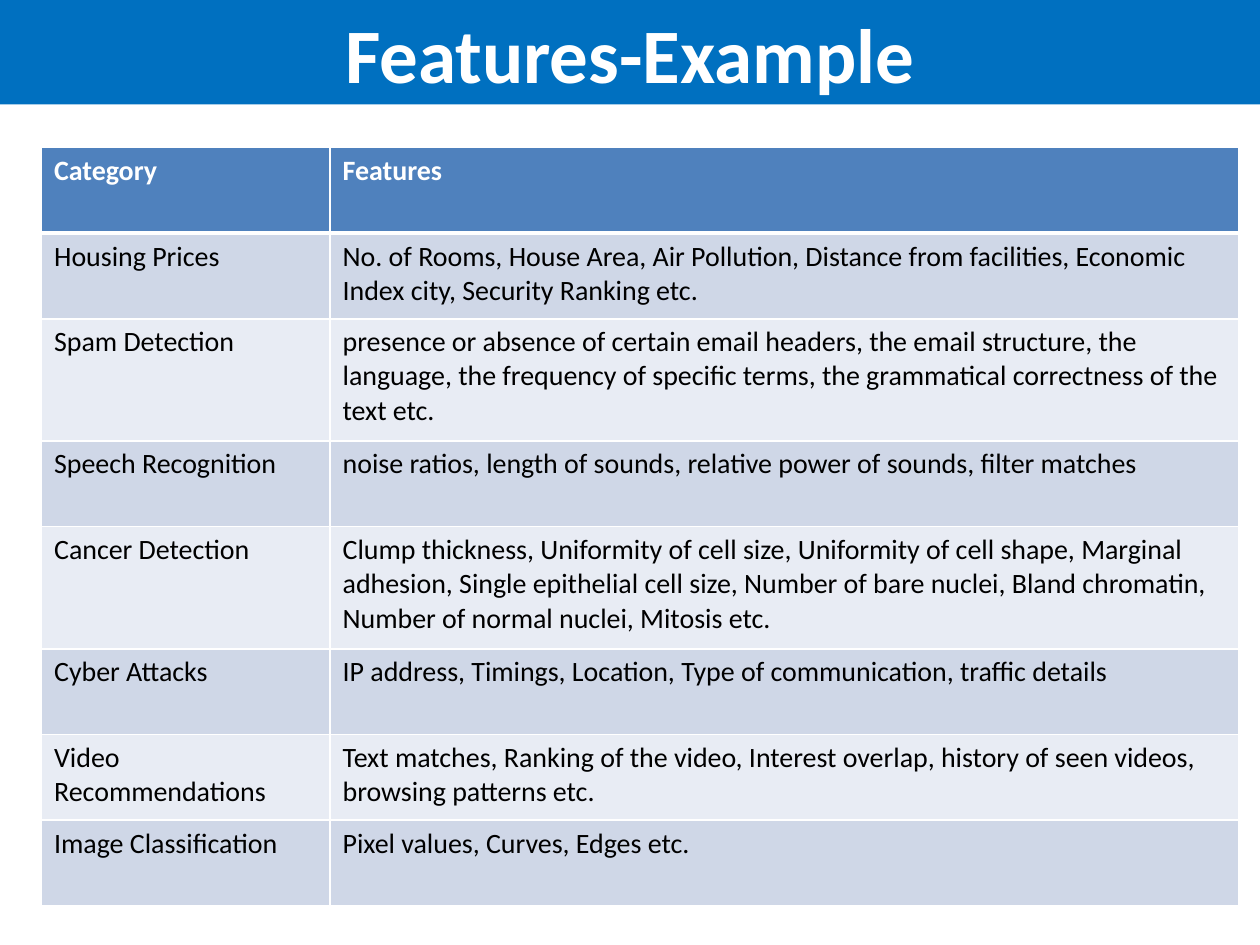
"""Build a slide with a table of example features for machine learning tasks."""
import lxml.etree
import pptx
import pptx.dml.color
import pptx.enum.shapes
import pptx.enum.text
import pptx.oxml.ns
import pptx.util

TITLE = "Features-Example"
ROWS = [
    ("Category", "Features"),
    ("Housing Prices", "No. of Rooms, House Area, Air Pollution, Distance from facilities, "
     "Economic Index city, Security Ranking etc."),
    ("Spam Detection", "presence or absence of certain email headers, the email structure, "
     "the language, the frequency of specific terms, the grammatical correctness of the text etc."),
    ("Speech Recognition", "noise ratios, length of sounds, relative power of sounds, filter matches"),
    ("Cancer Detection", "Clump thickness, Uniformity of cell size, Uniformity of cell shape, "
     "Marginal adhesion, Single epithelial cell size, Number of bare nuclei, Bland chromatin, "
     "Number of normal nuclei, Mitosis etc."),
    ("Cyber Attacks", "IP address, Timings, Location, Type of communication, traffic details"),
    ("Video Recommendations", "Text matches, Ranking of the video, Interest overlap, "
     "history of seen videos, browsing patterns etc."),
    ("Image Classification", "Pixel values, Curves, Edges etc."),
]
TALL_ROWS = {"Spam Detection", "Cancer Detection"}
ROW_HEIGHT, TALL_HEIGHT = 0.68, 0.97
COLUMN_WIDTHS = (2.29, 7.21)
TABLE_LEFT, TABLE_TOP = 0.33, 1.17
SLIDE_WIDTH, SLIDE_HEIGHT, TITLE_HEIGHT = 10, 7.5, 0.83
WHITE, BLACK, BLUE, HEADER = "FFFFFF", "000000", "0070C0", "4F81BD"
BANDS = ("E8ECF4", "CFD7E7")


def color(value):
    return pptx.dml.color.RGBColor.from_string(value)


def paint(target, value):
    target.fill.solid()
    target.fill.fore_color.rgb = color(value)


def style(paragraph, size, value, bold):
    font = paragraph.font
    font.name, font.size, font.bold = "Calibri", pptx.util.Pt(size), bold
    font.color.rgb = color(value)


def add_borders(cell, widths):
    properties = cell._tc.get_or_add_tcPr()
    for side, width in widths.items():
        line = lxml.etree.SubElement(properties, pptx.oxml.ns.qn(f"a:ln{side}"),
                                     w=str(pptx.util.Pt(width)))
        fill = lxml.etree.SubElement(line, pptx.oxml.ns.qn("a:solidFill"))
        lxml.etree.SubElement(fill, pptx.oxml.ns.qn("a:srgbClr"), val=WHITE)


def add_feature_table(slide):
    heights = [TALL_HEIGHT if row[0] in TALL_ROWS else ROW_HEIGHT for row in ROWS]
    box = map(pptx.util.Inches, (TABLE_LEFT, TABLE_TOP, sum(COLUMN_WIDTHS), sum(heights)))
    table = slide.shapes.add_table(len(ROWS), len(COLUMN_WIDTHS), *box).table
    for column, width in zip(table.columns, COLUMN_WIDTHS):
        column.width = pptx.util.Inches(width)
    for index, (texts, height) in enumerate(zip(ROWS, heights)):
        table.rows[index].height = pptx.util.Inches(height)
        is_header = index == 0
        widths = {"L": 1, "R": 1, "T": 3 if index == 1 else 1, "B": 3 if is_header else 1}
        for cell, text in zip(table.rows[index].cells, texts):
            cell.text = text
            style(cell.text_frame.paragraphs[0], 16, WHITE if is_header else BLACK, is_header)
            add_borders(cell, widths)
            paint(cell, HEADER if is_header else BANDS[index % 2])


def add_title_bar(slide):
    shape = slide.shapes.add_shape(pptx.enum.shapes.MSO_SHAPE.RECTANGLE, 0, 0,
                                   pptx.util.Inches(SLIDE_WIDTH), pptx.util.Inches(TITLE_HEIGHT))
    shape.shadow.inherit = False
    paint(shape, BLUE)
    shape.line.fill.background()
    shape.text_frame.text = TITLE
    shape.text_frame.vertical_anchor = pptx.enum.text.MSO_ANCHOR.MIDDLE
    paragraph = shape.text_frame.paragraphs[0]
    paragraph.alignment = pptx.enum.text.PP_ALIGN.CENTER
    style(paragraph, 44, WHITE, True)


def main():
    presentation = pptx.Presentation()
    presentation.slide_width = pptx.util.Inches(SLIDE_WIDTH)
    presentation.slide_height = pptx.util.Inches(SLIDE_HEIGHT)
    slide = presentation.slides.add_slide(presentation.slide_layouts[6])
    add_feature_table(slide)
    add_title_bar(slide)
    presentation.save("out.pptx")


if __name__ == "__main__":
    main()
